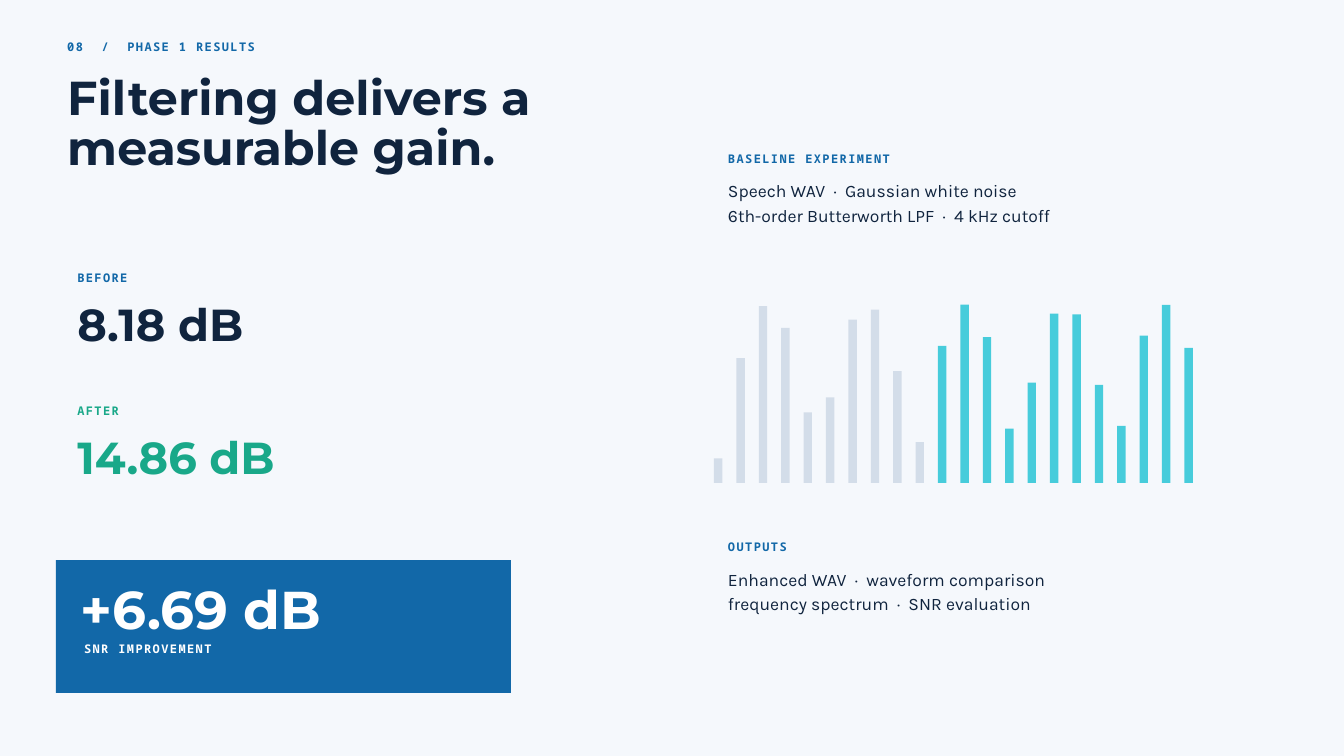
from collections import namedtuple
from dataclasses import dataclass

from lxml import etree
from pptx import Presentation
from pptx.dml.color import RGBColor
from pptx.enum.shapes import MSO_SHAPE
from pptx.enum.text import MSO_ANCHOR, MSO_AUTO_SIZE, PP_ALIGN
from pptx.oxml.ns import qn
from pptx.util import Pt

RECT = MSO_SHAPE.RECTANGLE
TOP = MSO_ANCHOR.TOP
NO_FIT = MSO_AUTO_SIZE.NONE
LEFT = PP_ALIGN.LEFT
TITLE_ONLY = 5

Box = namedtuple("Box", "x y w h")
Style = namedtuple("Style", "font size leading bold spacing")


@dataclass(frozen=True)
class Theme:
    bg: str = "F5F8FC"
    ink: str = "10243E"
    blue: str = "1268A8"
    green: str = "19A889"
    cyan: str = "29C5D6"
    gray: str = "CED9E6"
    white: str = "FFFFFF"
    label: Style = Style("Noto Sans Mono", 12.8, 17.8, True, 1.5)
    title: Style = Style("Montserrat", 51, 53.5, True, 0)
    metric: Style = Style("Montserrat", 48, 50.4, True, 0)
    hero: Style = Style("Montserrat", 57, 59.9, True, 0)
    body: Style = Style("Karla", 18.8, 25.9, False, 0)


T = Theme()
BAR_PITCH, BAR_WIDTH, BAR_OPACITY = 24, 9, 85
NOISY = [26.4, 133.9, 189.4, 166.3, 75.6, 91.8, 175, 185.8, 119.9, 43.9]
FILTERED = [146.9, 191, 156.2, 58.3, 107.6, 181.4, 180.7, 105.1, 61.2, 157.8, 190.8, 144.7]


def place(sp, box):
    sp.left, sp.top, sp.width, sp.height = (Pt(v) for v in box)


def write(sp, lines, style, color):
    tf = sp.text_frame
    tf.word_wrap = True
    tf.auto_size = NO_FIT
    tf.vertical_anchor = TOP
    tf.margin_left = tf.margin_right = tf.margin_top = tf.margin_bottom = 0
    for i, line in enumerate(lines):
        p = tf.add_paragraph() if i else tf.paragraphs[0]
        p.alignment = LEFT
        p.line_spacing = Pt(style.leading)
        r = p.add_run()
        r.text = line
        r.font.name = style.font
        r.font.size = Pt(style.size)
        r.font.bold = style.bold
        r.font.color.rgb = RGBColor.from_string(color)
        if style.spacing:
            r.font._element.set("spc", str(int(style.spacing * 100)))


def add_text(s, box, lines, style, color):
    sp = s.shapes.add_textbox(*(Pt(v) for v in box))
    write(sp, lines, style, color)


def add_rect(s, box, color, opacity=100):
    sp = s.shapes.add_shape(RECT, *(Pt(v) for v in box))
    sp.shadow.inherit = False
    sp.fill.solid()
    sp.fill.fore_color.rgb = RGBColor.from_string(color)
    sp.line.fill.background()
    if opacity < 100:
        clr = sp._element.spPr.find(qn("a:solidFill"))[0]
        etree.SubElement(clr, qn("a:alpha"), val=str(opacity * 1000))


def add_header(s, box, kicker, lines):
    add_text(s, Box(box.x, box.y, 450, 17), [kicker], T.label, T.blue)
    place(s.shapes.title, Box(box.x, box.y + 41, box.w, box.h - 41))
    write(s.shapes.title, lines, T.title, T.ink)


def add_metric(s, box, label, value, label_color, value_color):
    add_text(s, Box(box.x, box.y, box.w, 17), [label], T.label, label_color)
    add_text(s, Box(box.x, box.y + 37.5, box.w, box.h - 37.5), [value], T.metric, value_color)


def add_result(s, box, value, label):
    add_rect(s, box, T.blue)
    add_text(s, Box(box.x + 26.5, box.y + 25.7, 390, 61), [value], T.hero, T.white)
    add_text(s, Box(box.x + 30, box.y + 85, 300, 17), [label], T.label, T.white)


def add_note(s, box, label, lines):
    add_text(s, Box(box.x, box.y, box.w, 17), [label], T.label, T.blue)
    add_text(s, Box(box.x, box.y + 30.2, box.w, box.h - 30.2), lines, T.body, T.ink)


def add_waveform(s, box):
    bars = [(h, T.gray) for h in NOISY] + [(h, T.cyan) for h in FILTERED]
    for i, (h, color) in enumerate(bars):
        bar = Box(box.x + i * BAR_PITCH, box.y + box.h - h, BAR_WIDTH, h)
        add_rect(s, bar, color, BAR_OPACITY)


def main():
    prs = Presentation()
    prs.slide_width, prs.slide_height = Pt(1440), Pt(810)
    s = prs.slides.add_slide(prs.slide_layouts[TITLE_ONLY])
    s.background.fill.solid()
    s.background.fill.fore_color.rgb = RGBColor.from_string(T.bg)

    add_header(s, Box(72, 39.6, 675, 149), "08  /  PHASE 1 RESULTS",
               ["Filtering delivers a", "measurable gain."])
    add_metric(s, Box(82.8, 287.3, 375, 88.6), "BEFORE", "8.18 dB", T.blue, T.ink)
    add_metric(s, Box(82.8, 429.8, 375, 88.6), "AFTER", "14.86 dB", T.green, T.green)
    add_result(s, Box(60, 600, 487.5, 142.5), "+6.69 dB", "SNR IMPROVEMENT")
    add_note(s, Box(780, 159.8, 540, 79), "BASELINE EXPERIMENT",
             ["Speech WAV  ·  Gaussian white noise",
              "6th-order Butterworth LPF  ·  4 kHz cutoff"])
    add_waveform(s, Box(765, 326.5, 513, 191))
    add_note(s, Box(780, 576, 540, 79), "OUTPUTS",
             ["Enhanced WAV  ·  waveform comparison",
              "frequency spectrum  ·  SNR evaluation"])
    prs.save("out.pptx")


if __name__ == "__main__":
    main()
